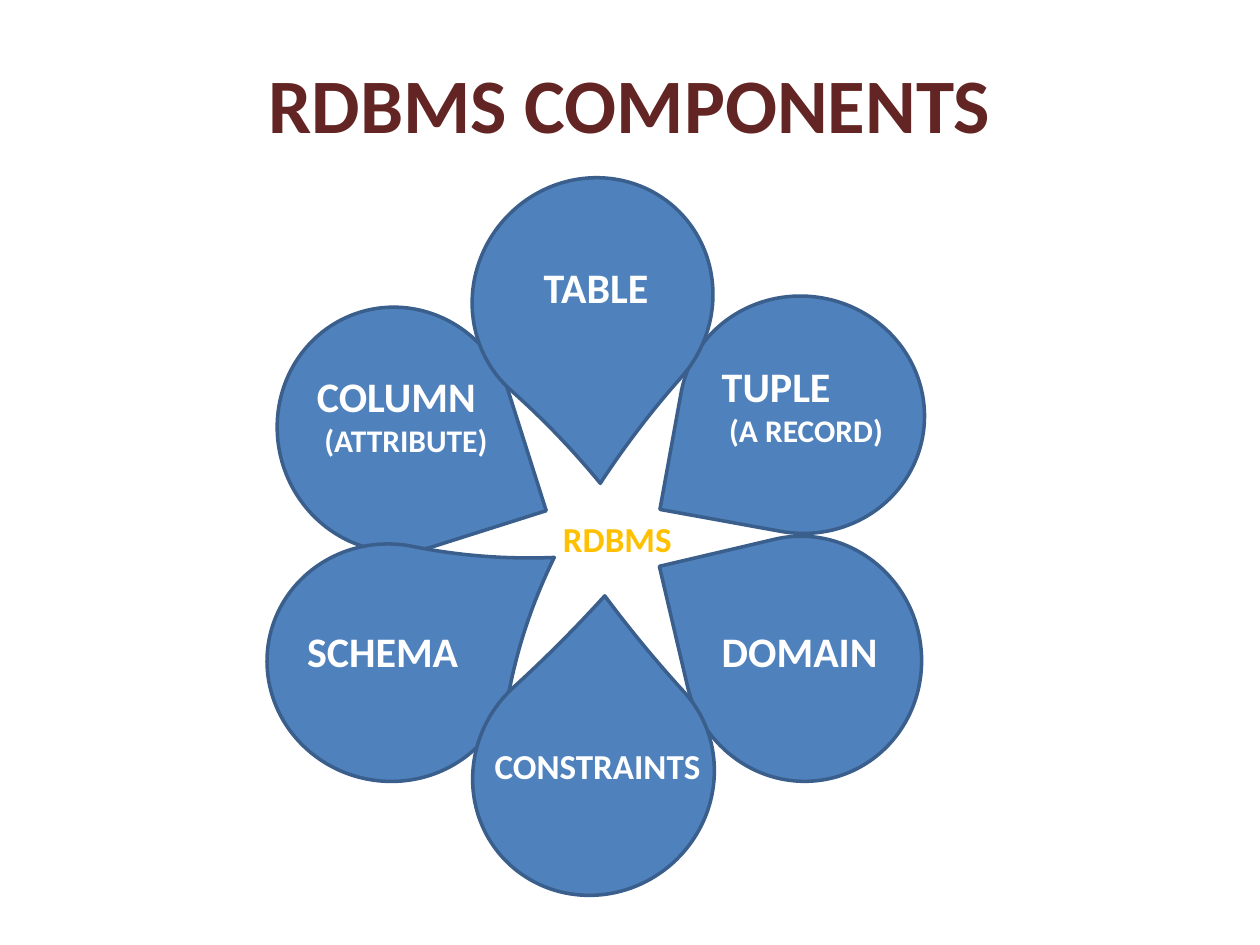
import pptx
import pptx.dml.color
import pptx.enum.shapes
import pptx.enum.text
import pptx.util

Cm = pptx.util.Cm
Pt = pptx.util.Pt
ALIGN = pptx.enum.text.PP_ALIGN
ANCHOR = pptx.enum.text.MSO_ANCHOR

FONT = "Calibri"
COLOURS = {
    "title": "632523",
    "petal": "4F81BD",
    "outline": "3A5F8C",
    "label": "FFFFFF",
    "centre": "FFC000",
}
PETAL_SIZE = (4.95, 4.78)

# Left, top, rotation and point length, from back to front
PETALS = [
    (8.31, 2.34, 190.3, 1),      # tuple
    (0.13, 2.64, 72.4, 1),       # column
    (0, 7.34, 11.4, 1.145),      # schema
    (8.33, 7.26, 256.8, 1),      # domain
    (4.09, 0, 131.6, 1.083),     # table
    (4.11, 9.6, 317.6, 1.051),   # constraints
]

# Left, top, width, height, colour and lines of (text, size)
LABELS = [
    (5.33, 1.52, 3.38, 1.27, "label", [("TABLE", 24)]),
    (8.92, 3.51, 3.76, 2.06, "label", [("TUPLE", 24), ("(A RECORD)", 18)]),
    (8.92, 8.86, 3.96, 1.27, "label", [("DOMAIN", 24)]),
    (4.34, 11.25, 5.56, 1.12, "label", [("CONSTRAINTS", 20)]),
    (0.76, 3.71, 3.96, 2.06, "label", [("COLUMN", 24), ("(ATTRIBUTE)", 18)]),
    (0.56, 8.86, 3.76, 1.27, "label", [("SCHEMA", 24)]),
    (5.72, 6.68, 2.77, 1.12, "centre", [("RDBMS", 20)]),
]


def rgb(name):
    return pptx.dml.color.RGBColor.from_string(COLOURS[name])


def add_text(page, lines, left, top, width, height, *, colour,
             align=ALIGN.LEFT, anchor=ANCHOR.TOP, indent=0.15):
    """Add bold lines of (text, size); lines after the first are indented."""
    box = page.shapes.add_textbox(Cm(left), Cm(top), Cm(width), Cm(height))
    frame = box.text_frame
    frame.word_wrap = True
    frame.vertical_anchor = anchor
    for number, (text, size) in enumerate(lines):
        para = frame.add_paragraph() if number else frame.paragraphs[0]
        para.alignment = align
        if number:
            para._p.get_or_add_pPr().set("marL", str(Cm(indent)))
        span = para.add_run()
        span.text = text
        span.font.name = FONT
        span.font.size = Pt(size)
        span.font.bold = True
        span.font.color.rgb = rgb(colour)


def add_petal(page, left, top, rotation, point):
    width, height = PETAL_SIZE
    petal = page.shapes.add_shape(pptx.enum.shapes.MSO_SHAPE.TEAR,
                                  Cm(left), Cm(top), Cm(width), Cm(height))
    petal.adjustments[0] = point
    petal.rotation = rotation
    petal.shadow.inherit = False
    petal.fill.solid()
    petal.fill.fore_color.rgb = rgb("petal")
    petal.line.color.rgb = rgb("outline")
    petal.line.width = Pt(2)


def add_title(page, left, top, width, height):
    add_text(page, [("RDBMS COMPONENTS", 44)], left, top, width, height,
             colour="title", align=ALIGN.CENTER, anchor=ANCHOR.MIDDLE)


def add_flower(page, left, top):
    # Petals first, so that every label lies above them
    for x, y, rotation, point in PETALS:
        add_petal(page, left + x, top + y, rotation, point)
    for x, y, width, height, colour, lines in LABELS:
        add_text(page, lines, left + x, top + y, width, height, colour=colour)


def main():
    deck = pptx.Presentation()
    deck.slide_width, deck.slide_height = Cm(25.4), Cm(19.05)
    page = deck.slides.add_slide(deck.slide_layouts[6])
    add_title(page, 1.27, 0.76, 22.86, 2.62)
    add_flower(page, 5.38, 3.63)
    deck.save("out.pptx")


if __name__ == "__main__":
    main()
